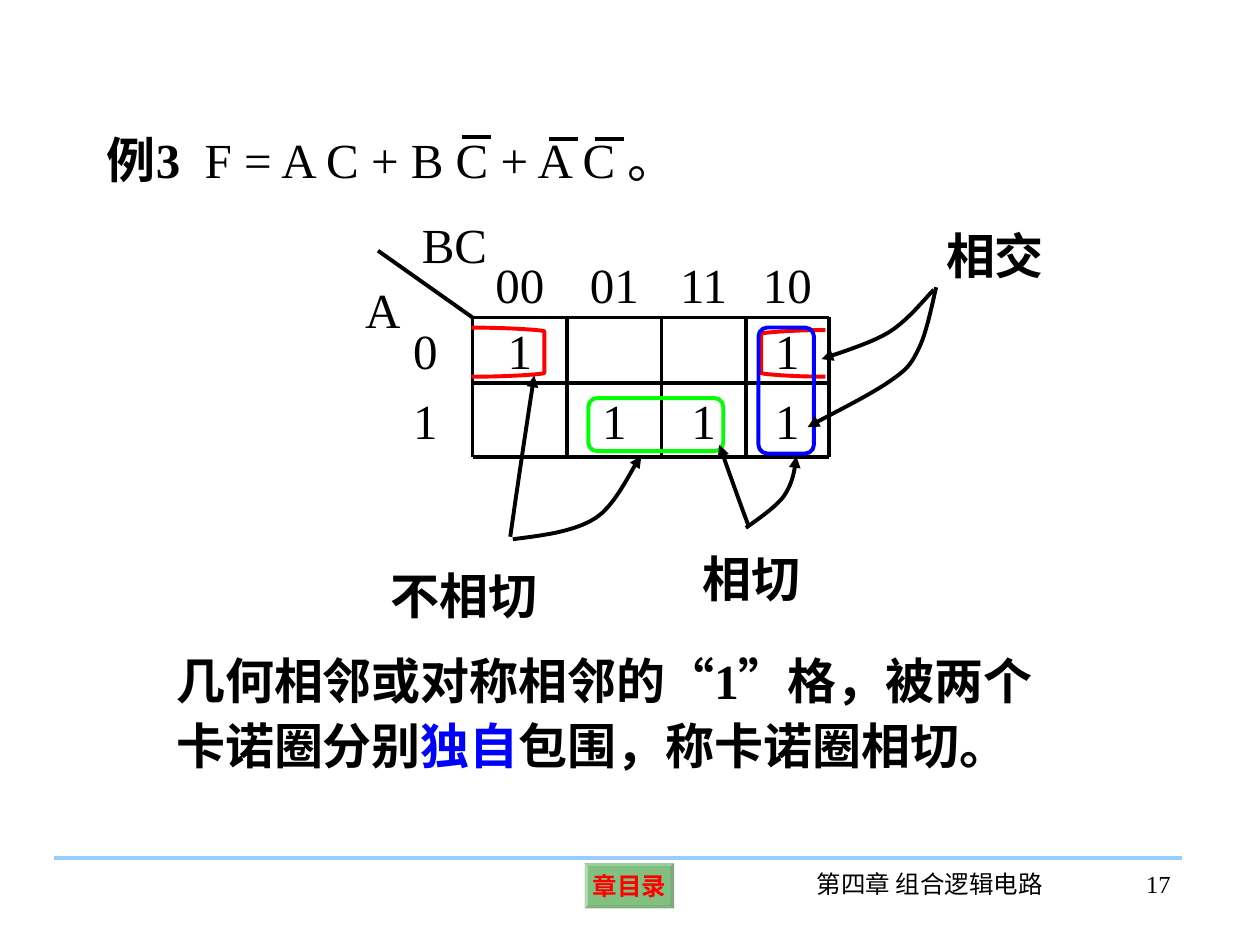
from lxml.etree import SubElement
from pptx import Presentation
from pptx.dml.color import RGBColor
from pptx.enum.shapes import MSO_CONNECTOR, MSO_SHAPE
from pptx.enum.text import MSO_ANCHOR, PP_ALIGN
from pptx.oxml.ns import qn
from pptx.util import Inches, Pt

COLUMNS = [3, 3.75, 4.5, 5.25, 5.92, 6.58]
ROWS = [1.99, 2.52, 3.04, 3.63]
MAP = [
    ["", "00", "01", "11", "10"],
    ["0", "1", "", "", "1"],
    ["1", "", "1", "1", "1"],
]
BLACK, RED, GREEN, BLUE = "000000", "FF0000", "00FF00", "0000FF"
SERIF = "Times New Roman"
ARROWS = [
    [(7.41, 2.3), (7.35, 2.36), (7.2, 2.55), (7.05, 2.64),
     (6.9, 2.73), (6.63, 2.81), (6.52, 2.85)],
    [(7.43, 2.28), (7.41, 2.36), (7.36, 2.62), (7.3, 2.75), (7.24, 2.87),
     (7.22, 2.92), (7.07, 3.02), (6.92, 3.13), (6.55, 3.31), (6.41, 3.39)],
    [(5.92, 4.19), (6.03, 4.11), (6.15, 4.03), (6.22, 3.94),
     (6.29, 3.84), (6.31, 3.73), (6.32, 3.62)],
    [(5.94, 4.17), (5.94, 4.17), (5.82, 3.85), (5.71, 3.53)],
    [(4.05, 4.26), (4.05, 4.26), (4.14, 3.62), (4.24, 2.98)],
    [(4.07, 4.28), (4.31, 4.25), (4.56, 4.22), (4.73, 4.11),
     (4.9, 4), (5.03, 3.68), (5.09, 3.62)],
]


def colour(value):
    return RGBColor.from_string(value)


def add_run(para, text, size=28, bold=False, fill=BLACK, font=SERIF):
    span = para.add_run()
    span.text = text
    span.font.size = Pt(size)
    span.font.bold = bold
    span.font.name = font
    span.font.color.rgb = colour(fill)


def set_margins(frame, across, down):
    frame.margin_left = frame.margin_right = Inches(across)
    frame.margin_top = frame.margin_bottom = Inches(down)


def add_text(page, left, top, width, height, align=PP_ALIGN.LEFT, spacing=None):
    box = page.shapes.add_textbox(*map(Inches, (left, top, width, height)))
    box.text_frame.word_wrap = True
    para = box.text_frame.paragraphs[0]
    para.alignment = align
    para.line_spacing = spacing
    return box, para


def add_label(page, text, left, top, width, height, **style):
    para = add_text(page, left, top, width, height)[1]
    add_run(para, text, **style)


def add_cell(page, text, column, row):
    left, right = COLUMNS[column:column + 2]
    top, bottom = ROWS[row:row + 2]
    box, para = add_text(page, left, top, right - left, bottom - top, PP_ALIGN.CENTER)
    box.text_frame.vertical_anchor = MSO_ANCHOR.MIDDLE
    set_margins(box.text_frame, 0.02, 0.02)
    add_run(para, text)


def add_line(page, start, end, stroke=BLACK):
    line = page.shapes.add_connector(
        MSO_CONNECTOR.STRAIGHT, *map(Inches, (*start, *end)))
    line.line.color.rgb = colour(stroke)
    line.line.width = Pt(2.25)
    SubElement(line._element.spPr, qn("a:effectLst"))


def outline(shape, stroke):
    shape.shadow.inherit = False
    shape.fill.background()
    shape.line.color.rgb = colour(stroke)
    shape.line.width = Pt(2.25)


def add_loop(page, left, top, width, height, stroke):
    loop = page.shapes.add_shape(
        MSO_SHAPE.ROUNDED_RECTANGLE, *map(Inches, (left, top, width, height)))
    loop.adjustments[0] = 0.16
    outline(loop, stroke)


def bezier(controls, share):
    rest = 1 - share
    weights = (rest ** 3, 3 * rest ** 2 * share, 3 * rest * share ** 2, share ** 3)
    return tuple(
        Inches(sum(weight * point[axis] for weight, point in zip(weights, controls)))
        for axis in (0, 1))


def add_curve(page, points, stroke=BLACK, arrow=False, steps=10):
    builder = page.shapes.build_freeform(*map(Inches, points[0]))
    vertices = [
        bezier(points[first:first + 4], step / steps)
        for first in range(0, len(points) - 1, 3)
        for step in range(1, steps + 1)]
    builder.add_line_segments(vertices, close=False)
    curve = builder.convert_to_shape()
    outline(curve, stroke)
    if arrow:
        SubElement(curve.line._get_or_add_ln(), qn("a:tailEnd"), type="triangle")


def add_bracket(page, opening, closing, top, bottom):
    middle = (opening + closing) / 2
    upper, lower = (closing, top + 0.03), (closing, bottom - 0.03)
    add_curve(page, [
        (opening, top), (middle, top), (closing, top + 0.02), upper,
        upper, lower, lower,
        (closing, bottom - 0.02), (middle, bottom), (opening, bottom)], RED)


def add_button(page, text, left, top, width, height):
    button = page.shapes.add_shape(
        MSO_SHAPE.BEVEL, *map(Inches, (left, top, width, height)))
    button.adjustments[0] = 0.07
    button.shadow.inherit = False
    button.line.fill.background()
    button.fill.solid()
    button.fill.fore_color.rgb = colour("008000")
    tint = button._element.spPr.find(qn("a:solidFill")).find(qn("a:srgbClr"))
    SubElement(tint, qn("a:alpha"), val="49000")
    frame = button.text_frame
    frame.word_wrap = False
    frame.vertical_anchor = MSO_ANCHOR.MIDDLE
    set_margins(frame, 0.04, 0.04)
    frame.paragraphs[0].alignment = PP_ALIGN.CENTER
    add_run(frame.paragraphs[0], text, 14, True, RED)


def add_footer(page):
    add_button(page, "章目录", 4.64, 6.85, 0.71, 0.36)
    add_line(page, (0.43, 6.81), (9.38, 6.81), "99CCFF")
    for text, left, width, align in (
            ("第四章 组合逻辑电路", 6.24, 2.28, PP_ALIGN.CENTER),
            ("17", 8.53, 0.86, PP_ALIGN.RIGHT)):
        add_run(add_text(page, left, 6.85, width, 0.5, align)[1], text, 14)


def add_karnaugh_map(page):
    for row, texts in enumerate(MAP):
        for column, text in enumerate(texts):
            if text:
                add_cell(page, text, column, row)
    add_line(page, (COLUMNS[0], ROWS[0]), (COLUMNS[1], ROWS[1]))
    for x in COLUMNS[1:]:
        add_line(page, (x, ROWS[1]), (x, ROWS[-1]))
    for y in ROWS[1:]:
        add_line(page, (COLUMNS[1], y), (COLUMNS[-1], y))
    add_label(page, "A", 2.8, 2.17, 0.45, 0.57)
    add_label(page, "BC", 3.25, 1.65, 0.75, 0.57)
    add_bracket(page, 3.74, 4.32, 2.6, 2.99)
    add_bracket(page, 6.55, 6.04, 2.62, 2.99)
    add_loop(page, 6.02, 2.6, 0.44, 1, BLUE)
    add_loop(page, 4.67, 3.16, 1.07, 0.42, GREEN)


def add_formula(page):
    para = add_text(page, 0.75, 0.98, 7.51, 0.57)[1]
    add_run(para, "例3", bold=True)
    add_run(para, "  F = A C + B C + A C 。")
    for x, y in ((3.67, 1.09), (4.36, 1.1), (4.72, 1.1)):
        add_line(page, (x, y), (x + 0.23, y))


def add_notes_on_loops(page):
    for text, left, top, width in (
            ("相交", 7.41, 1.69, 0.99),
            ("相切", 5.48, 4.26, 0.99),
            ("不相切", 3, 4.39, 1.37)):
        para = add_text(page, left, top, width, 0.62, spacing=1.1)[1]
        add_run(para, text, bold=True)
    for points in ARROWS:
        add_curve(page, points, arrow=True)
    para = add_text(page, 1.3, 5.07, 7.12, 1.13, spacing=1.1)[1]
    for text, fill, font in (
            ("几何相邻或对称相邻的", BLACK, SERIF),
            ("“", BLACK, "Arial"),
            ("1", BLACK, SERIF),
            ("”", BLACK, "Arial"),
            ("格，被两个卡诺圈分别", BLACK, SERIF),
            ("独自", BLUE, SERIF),
            ("包围，称卡诺圈相切。", BLACK, SERIF)):
        add_run(para, text, bold=True, fill=fill, font=font)


def main():
    deck = Presentation()
    deck.slide_width, deck.slide_height = Inches(10), Inches(7.5)
    page = deck.slides.add_slide(deck.slide_layouts[6])
    add_footer(page)
    add_karnaugh_map(page)
    add_formula(page)
    add_notes_on_loops(page)
    deck.save("out.pptx")


if __name__ == "__main__":
    main()
